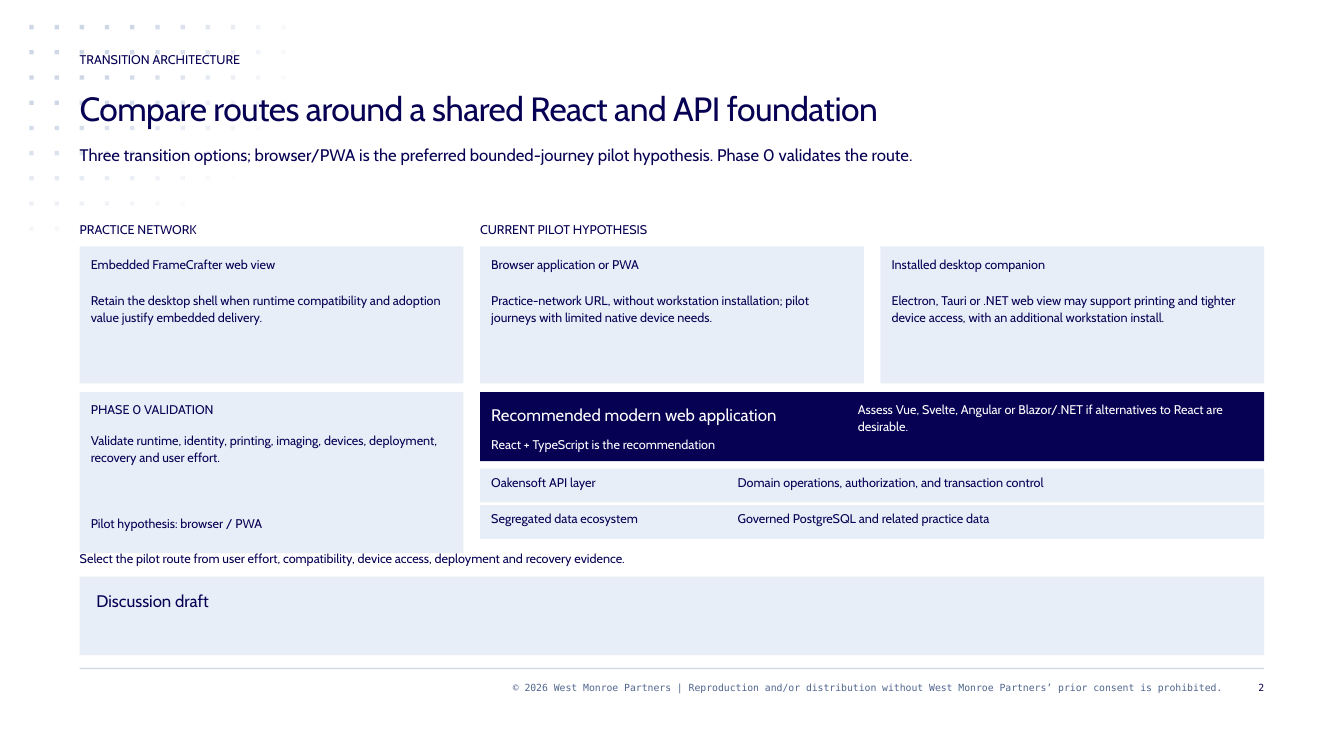
from math import hypot

from lxml.etree import SubElement
from pptx import Presentation
from pptx.dml.color import RGBColor
from pptx.enum.shapes import MSO_SHAPE as Shape
from pptx.enum.text import PP_ALIGN as Align
from pptx.oxml.ns import qn
from pptx.util import Cm, Pt

NAVY = RGBColor(0x07, 0x01, 0x54)
WHITE = RGBColor(0xFF, 0xFF, 0xFF)
PALE = RGBColor(0xE8, 0xEE, 0xF8)
MIST = RGBColor(0xCE, 0xD7, 0xE6)
SLATE = RGBColor(0x50, 0x65, 0x8E)

LEFT, FULL = 2.01, 29.85
PITCH, WIDE = 10.09, 9.67
MID = LEFT + PITCH
SPAN = LEFT + FULL - MID
PAD = 0.28
STEP = 2.54 / 4

CARDS = [
    ("Embedded FrameCrafter web view",
     "Retain the desktop shell when runtime compatibility and adoption value justify embedded delivery."),
    ("Browser application or PWA",
     "Practice-network URL, without workstation installation; pilot journeys with limited native device needs."),
    ("Installed desktop companion",
     "Electron, Tauri or .NET web view may support printing and tighter device access, "
     "with an additional workstation install."),
]
LAYERS = [
    ("Oakensoft API layer", "Domain operations, authorization, and transaction control"),
    ("Segregated data ecosystem", "Governed PostgreSQL and related practice data"),
]
PHASE = [
    (10.08, "PHASE 0 VALIDATION"),
    (10.87, "Validate runtime, identity, printing, imaging, devices, deployment, recovery and user effort."),
    (12.95, "Pilot hypothesis: browser / PWA"),
]


class Deck:
    font = "Cabin"
    mono = "DejaVu Sans Mono"

    def __init__(self):
        self.file = Presentation()
        self.file.slide_width, self.file.slide_height = Cm(33.87), Cm(19.05)
        self.slide = self.file.slides.add_slide(self.file.slide_layouts[6])

    def panel(self, x, y, w, h, fill=PALE, alpha=100):
        """Draw a plain rectangle; alpha is its opacity in percent."""
        box = self.slide.shapes.add_shape(Shape.RECTANGLE, Cm(x), Cm(y), Cm(w), Cm(h))
        box.shadow.inherit = False
        box.line.fill.background()
        box.fill.solid()
        box.fill.fore_color.rgb = fill
        if alpha < 100:
            tone = box._element.spPr.find(qn("a:solidFill"))[0]
            SubElement(tone, qn("a:alpha"), val=str(round(alpha) * 1000))

    def text(self, words, x, y, w, h=0.64, size=9, lead=12, color=NAVY,
             font=None, align=Align.LEFT, track=0):
        """Place text; lead is line spacing and track letter spacing, in points."""
        frame = self.slide.shapes.add_textbox(Cm(x), Cm(y), Cm(w), Cm(h)).text_frame
        frame.word_wrap = True
        frame.margin_left = frame.margin_right = frame.margin_top = frame.margin_bottom = 0
        para = frame.paragraphs[0]
        para.alignment, para.line_spacing = align, Pt(lead)
        run = para.add_run()
        run.text = words
        run.font.name, run.font.size = font or self.font, Pt(size)
        run.font.color.rgb = color
        if track:
            run._r.get_or_add_rPr().set("spc", str(round(track * 100)))

    def dots(self):
        """Draw the corner grid, which fades out along an ellipse."""
        for col in range(11):
            for row in range(9):
                alpha = 153 * (1 - hypot(col / 11.07, row / 9.07))
                if alpha > 1.5:
                    self.panel(0.74 + col * STEP, 0.63 + row * STEP, 0.11, 0.11, MIST, alpha)

    def footer(self):
        self.panel(LEFT, 16.83, FULL, 0.03, MIST)
        style = dict(size=7, lead=9, font=self.mono, align=Align.RIGHT)
        self.text("© 2026 West Monroe Partners | Reproduction and/or distribution without "
                  "West Monroe Partners’ prior consent is prohibited.",
                  6.04, 17.15, 24.77, color=SLATE, **style)
        self.text("2", 31.01, 17.15, 0.85, **style)

    def header(self):
        self.text("TRANSITION ARCHITECTURE", LEFT, 1.27, 12.34)
        self.text("Compare routes around a shared React and API foundation",
                  LEFT, 2.18, FULL, 1.27, size=24, lead=30, track=-0.4)
        self.text("Three transition options; browser/PWA is the preferred bounded-journey "
                  "pilot hypothesis. Phase 0 validates the route.",
                  LEFT, 3.53, FULL, 1.93, size=12, lead=18)

    def routes(self):
        self.text("PRACTICE NETWORK", LEFT, 5.56, WIDE, 0.43)
        self.text("CURRENT PILOT HYPOTHESIS", MID, 5.56, WIDE, 0.43)
        for i, (name, note) in enumerate(CARDS):
            x = LEFT + i * PITCH
            self.panel(x, 6.21, WIDE, 3.45)
            self.text(name, x + PAD, 6.43, 9.1)
            self.text(note, x + PAD, 7.34, 9.1, 2.1)

    def phase(self):
        self.panel(LEFT, 9.88, WIDE, 4.06)
        for y, words in PHASE:
            self.text(words, LEFT + PAD, y, 8.9, 0.85)

    def stack(self):
        """Draw the recommended application and the layers below it."""
        self.panel(MID, 9.88, SPAN, 1.74, NAVY)
        x = MID + PAD
        self.text("Recommended modern web application", x, 10.08, 8.73, 0.74,
                  size=12, lead=18, color=WHITE)
        self.text("React + TypeScript is the recommendation", x, 10.97, 8.73, 0.43, color=WHITE)
        self.text("Assess Vue, Svelte, Angular or Blazor/.NET if alternatives to React are desirable.",
                  21.62, 10.08, 9.96, 1.27, color=WHITE)
        for i, (name, role) in enumerate(LAYERS):
            y = 11.81 + i * 0.92
            self.panel(MID, y, SPAN, 0.85)
            self.text(name, x, y + 0.11, 5.92)
            self.text(role, 18.59, y + 0.11, 12.98)

    def closing(self):
        self.text("Select the pilot route from user effort, compatibility, device access, "
                  "deployment and recovery evidence.", LEFT, 13.83, FULL, 0.43)
        self.panel(LEFT, 14.53, FULL, 1.98)
        self.text("Discussion draft", 2.43, 14.77, 29, 1.42, size=12, lead=18)


def main():
    deck = Deck()
    deck.dots()
    deck.footer()
    deck.header()
    deck.routes()
    deck.phase()
    deck.stack()
    deck.closing()
    deck.file.save("out.pptx")


if __name__ == "__main__":
    main()
